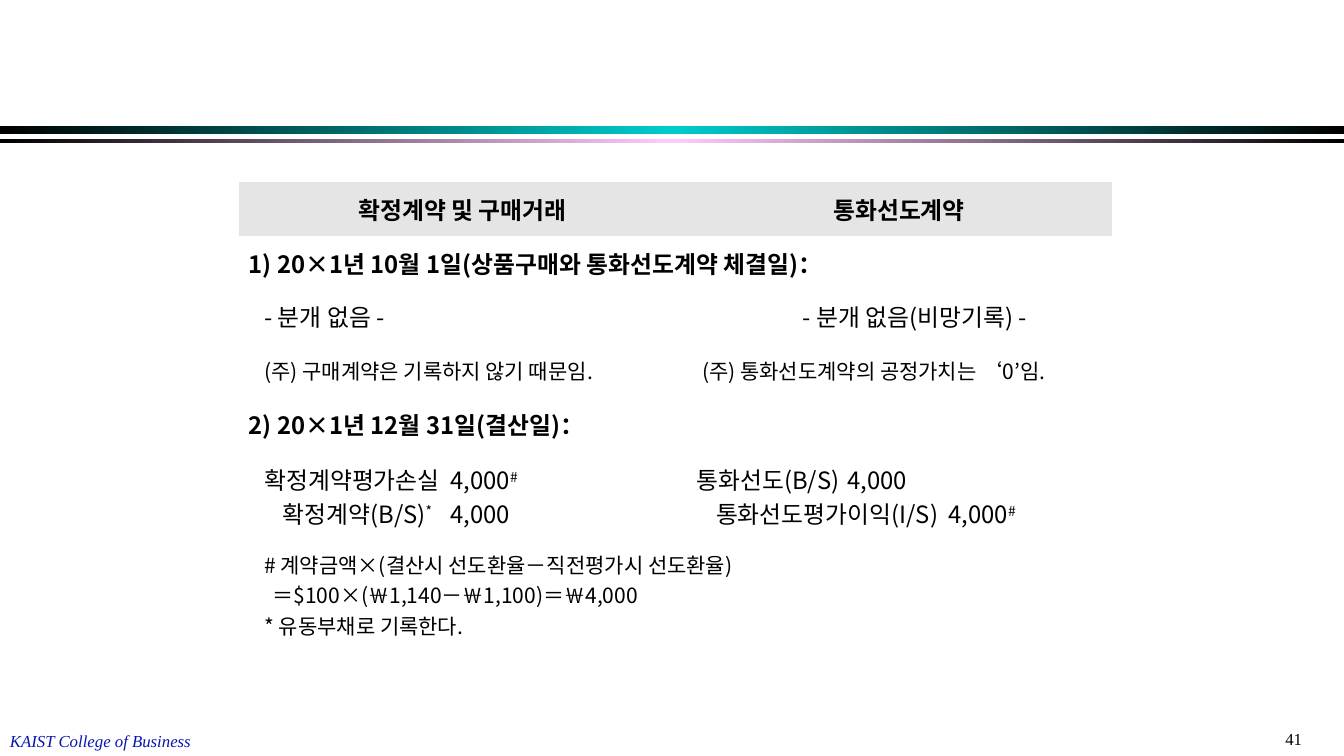
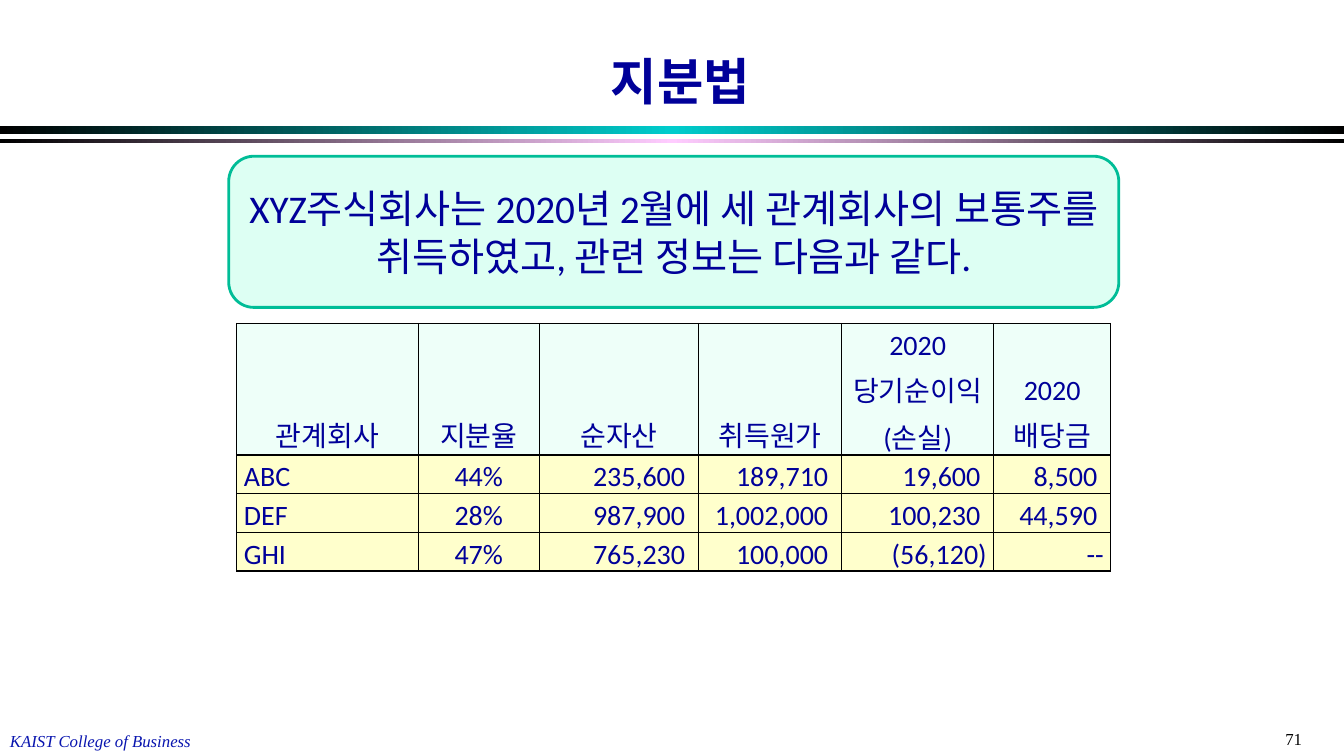
from copy import deepcopy

from lxml import etree
from pptx import Presentation
from pptx.dml.color import RGBColor
from pptx.enum.shapes import MSO_SHAPE
from pptx.enum.text import MSO_ANCHOR, PP_ALIGN
from pptx.oxml.ns import qn
from pptx.util import Pt

RECTANGLE, ROUNDED = MSO_SHAPE.RECTANGLE, MSO_SHAPE.ROUNDED_RECTANGLE
MIDDLE, BOTTOM = MSO_ANCHOR.MIDDLE, MSO_ANCHOR.BOTTOM
LEFT, CENTER, RIGHT, JUSTIFY = PP_ALIGN.LEFT, PP_ALIGN.CENTER, PP_ALIGN.RIGHT, PP_ALIGN.JUSTIFY

BLACK = RGBColor(0x00, 0x00, 0x00)
WHITE = RGBColor(0xFF, 0xFF, 0xFF)
TEAL = RGBColor(0x00, 0xCC, 0xCC)
PINK = RGBColor(0xFF, 0xCC, 0xFF)
NAVY = RGBColor(0x00, 0x00, 0x99)
FOOTER_BLUE = RGBColor(0x09, 0x15, 0xAF)
HEADER_GRAY = RGBColor(0xE5, 0xE5, 0xE5)
CALLOUT_FILL = RGBColor(0xDD, 0xFF, 0xF3)
CALLOUT_LINE = RGBColor(0x00, 0xBD, 0x97)
HEADER_MINT = RGBColor(0xEE, 0xFF, 0xF9)
ROW_YELLOW = RGBColor(0xFF, 0xFF, 0xCC)

KOREAN = "Noto Sans CJK KR"
WIDTH, HEIGHT = 960, 540
BANDS = [(90, 6, TEAL), (99.2, 3, PINK)]

FOOTER = {"name": "Times New Roman", "size": Pt(12), "italic": True, "color": FOOTER_BLUE}
NUMBER = {"name": "Times New Roman", "size": Pt(12), "color": BLACK}
TITLE = {"name": "Arial", "size": Pt(36), "bold": True, "color": NAVY}
CALLOUT = {"name": "Calibri", "size": Pt(28), "color": NAVY}
FIGURE = {"name": "Calibri", "size": Pt(20), "bold": False, "color": NAVY}
ENTRY = {"name": KOREAN, "size": Pt(17), "bold": False, "color": BLACK}
HEADING = {**ENTRY, "bold": True}
NOTE = {**ENTRY, "size": Pt(15)}

JOURNAL_COLUMNS = [319.7, 303.8]
JOURNAL = [
    (38.3, HEADER_GRAY, HEADING, CENTER, [
        [("확정계약 및 구매거래", 0, 0)], [("통화선도계약", 0, 0)]]),
    (38.3, WHITE, HEADING, JUSTIFY, [
        [("1) 20×1년 10월 1일(상품구매와 통화선도계약 체결일)：", 0, 0)]]),
    (38.3, WHITE, ENTRY, JUSTIFY, [
        [("- 분개 없음 -", 11, 0)], [("- 분개 없음(비망기록) -", 76, 0)]]),
    (38.6, WHITE, NOTE, JUSTIFY, [
        [("(주) 구매계약은 기록하지 않기 때문임.", 11, 0)],
        [("(주) 통화선도계약의 공정가치는 ‘0’임.", 4, 0)]]),
    (38.3, WHITE, HEADING, JUSTIFY, [
        [("2) 20×1년 12월 31일(결산일)：", 0, 0)]]),
    (64.6, WHITE, ENTRY, JUSTIFY, [
        [("확정계약평가손실\t4,000^#", 11, 179),
         ("확정계약(B/S)^*^\t4,000", 24, 204)],
        [("통화선도(B/S)\t4,000", 0, 157),
         ("통화선도평가이익(I/S)\t4,000^#", 14, 208)]]),
    (76, WHITE, NOTE, JUSTIFY, [
        [("# 계약금액×(결산시 선도환율－직전평가시 선도환율)", 11, 0),
         ("＝$100×(￦1,140－￦1,100)＝￦4,000", 17, 0),
         ("* 유동부채로 기록한다.", 11, 0)]]),
]

CALLOUT_TEXT = "XYZ주식회사는 2020년 2월에 세 관계회사의 보통주를 취득하였고, 관련 정보는 다음과 같다."
HOLDING_COLUMNS = [129.6, 86.4, 113.8, 102.2, 108.7, 83.5]
HOLDING_ROWS = [93.9, 27.6, 27.6, 27.6]
HOLDINGS = [
    ["관계회사", "지분율", "순자산", "취득원가", "2020 당기순이익(손실)", "2020 배당금"],
    ["ABC", "44%", "235,600", "189,710", "19,600", "8,500"],
    ["DEF", "28%", "987,900", "1,002,000", "100,230", "44,590"],
    ["GHI", "47%", "765,230", "100,000", "(56,120)", "--"],
]


def points(*values):
    return [Pt(value) for value in values]


def write(para, text, style, align=LEFT):
    para.alignment = align
    for index, part in enumerate(text.split("^")):
        if not part:
            continue
        span = para.add_run()
        span.text = part
        for key, value in style.items():
            if key == "color":
                span.font.color.rgb = value
            else:
                setattr(span.font, key, value)
        properties = span.font.fill and span.element.get_or_add_rPr() if hasattr(span, "element") else span.font._element
        etree.SubElement(properties, qn("a:ea")).set("typeface", KOREAN)
        if index % 2:
            properties.set("baseline", "30000")


def indent(para, first, tab):
    properties = para._p.get_or_add_pPr()
    properties.set("marL", "0")
    properties.set("indent", str(Pt(first)))
    if tab:
        stops = etree.SubElement(properties, qn("a:tabLst"))
        etree.SubElement(stops, qn("a:tab"), pos=str(Pt(tab)), algn="l")


def add_band(page, top, height, glow):
    band = page.shapes.add_shape(RECTANGLE, *points(0, top, WIDTH, height))
    band.shadow.inherit = False
    band.line.fill.background()
    band.fill.gradient()
    band.fill.gradient_angle = 0
    stops = band.element.spPr.find(".//" + qn("a:gsLst"))
    stops.insert(1, deepcopy(stops[0]))
    for stop, position, color in zip(band.fill.gradient_stops, (0, 0.5, 1), (BLACK, glow, BLACK)):
        stop.position = position
        stop.color.rgb = color
    return band


def add_label(page, place, text, style):
    box = page.shapes.add_textbox(*points(*place))
    box.text_frame.word_wrap = False
    write(box.text_frame.paragraphs[0], text, style)
    return box


def build_layout(layout, page):
    parts = [add_band(page, *band) for band in BANDS]
    parts.append(add_label(page, (0, 518.4, 145, 21.6), "KAIST College of Business", FOOTER))
    for part in parts:
        layout.shapes.element.append(part.element)


def add_page(deck, layout, number, title=None):
    page = deck.slides.add_slide(layout)
    add_label(page, (911, 517, 49, 21.6), number, NUMBER)
    heading = page.shapes.title
    if title is None:
        heading.element.getparent().remove(heading.element)
        return page
    heading.left, heading.top, heading.width, heading.height = points(192, 31.7, 588, 51)
    heading.text_frame.vertical_anchor = MIDDLE
    write(heading.text_frame.paragraphs[0], title, TITLE, CENTER)
    return page


def add_grid(page, left, top, columns, rows):
    place = points(left, top, sum(columns), sum(rows))
    table = page.shapes.add_table(len(rows), len(columns), *place).table
    table.first_row = table.horz_banding = False
    for column, width in zip(table.columns, columns):
        column.width = Pt(width)
    for row, height in zip(table.rows, rows):
        row.height = Pt(height)
    return table


def format_cell(cell, fill, anchor, border=None):
    cell.fill.solid()
    cell.fill.fore_color.rgb = fill
    cell.vertical_anchor = anchor
    properties = cell._tc.get_or_add_tcPr()
    for index, side in enumerate(("lnL", "lnR", "lnT", "lnB")):
        line = etree.Element(qn("a:" + side))
        properties.insert(index, line)
        if border is None:
            etree.SubElement(line, qn("a:noFill"))
        else:
            line.set("w", str(Pt(1)))
            paint = etree.SubElement(line, qn("a:solidFill"))
            etree.SubElement(paint, qn("a:srgbClr"), val=str(border))


def build_journal(page):
    table = add_grid(page, 170.6, 130.3, JOURNAL_COLUMNS, [row[0] for row in JOURNAL])
    for index, (_, fill, style, align, entries) in enumerate(JOURNAL):
        for cell in table.rows[index].cells:
            format_cell(cell, fill, MIDDLE)
        if len(entries) == 1:
            table.cell(index, 0).merge(table.cell(index, 1))
        for column, lines in enumerate(entries):
            frame = table.cell(index, column).text_frame
            for order, (text, first, tab) in enumerate(lines):
                para = frame.add_paragraph() if order else frame.paragraphs[0]
                indent(para, first, tab)
                write(para, text, style, align)


def build_callout(page):
    box = page.shapes.add_shape(ROUNDED, *points(163.4, 111.6, 635.8, 108))
    box.shadow.inherit = False
    box.fill.solid()
    box.fill.fore_color.rgb = CALLOUT_FILL
    box.line.color.rgb = CALLOUT_LINE
    box.line.width = Pt(2)
    box.text_frame.word_wrap = True
    box.text_frame.vertical_anchor = MIDDLE
    write(box.text_frame.paragraphs[0], CALLOUT_TEXT, CALLOUT, CENTER)


def build_holdings(page):
    table = add_grid(page, 169.2, 231.1, HOLDING_COLUMNS, HOLDING_ROWS)
    alignments = [LEFT, CENTER] + [RIGHT] * 4
    for index, values in enumerate(HOLDINGS):
        for column, text in enumerate(values):
            cell = table.cell(index, column)
            format_cell(cell, ROW_YELLOW if index else HEADER_MINT, BOTTOM, BLACK)
            cell.margin_left = cell.margin_right = Pt(5)
            cell.margin_top = cell.margin_bottom = Pt(0)
            if text[-1].isdigit():
                cell.margin_right = Pt(9.5)
            para = cell.text_frame.paragraphs[0]
            para.line_spacing = 1.15
            write(para, text, FIGURE, alignments[column] if index else CENTER)


def main():
    deck = Presentation()
    deck.slide_width, deck.slide_height = points(WIDTH, HEIGHT)
    layout = deck.slide_layouts[5]

    journal = add_page(deck, layout, "41")
    build_layout(layout, journal)
    build_journal(journal)

    holdings = add_page(deck, layout, "71", "지분법")
    build_callout(holdings)
    build_holdings(holdings)

    deck.save("out.pptx")


if __name__ == "__main__":
    main()
